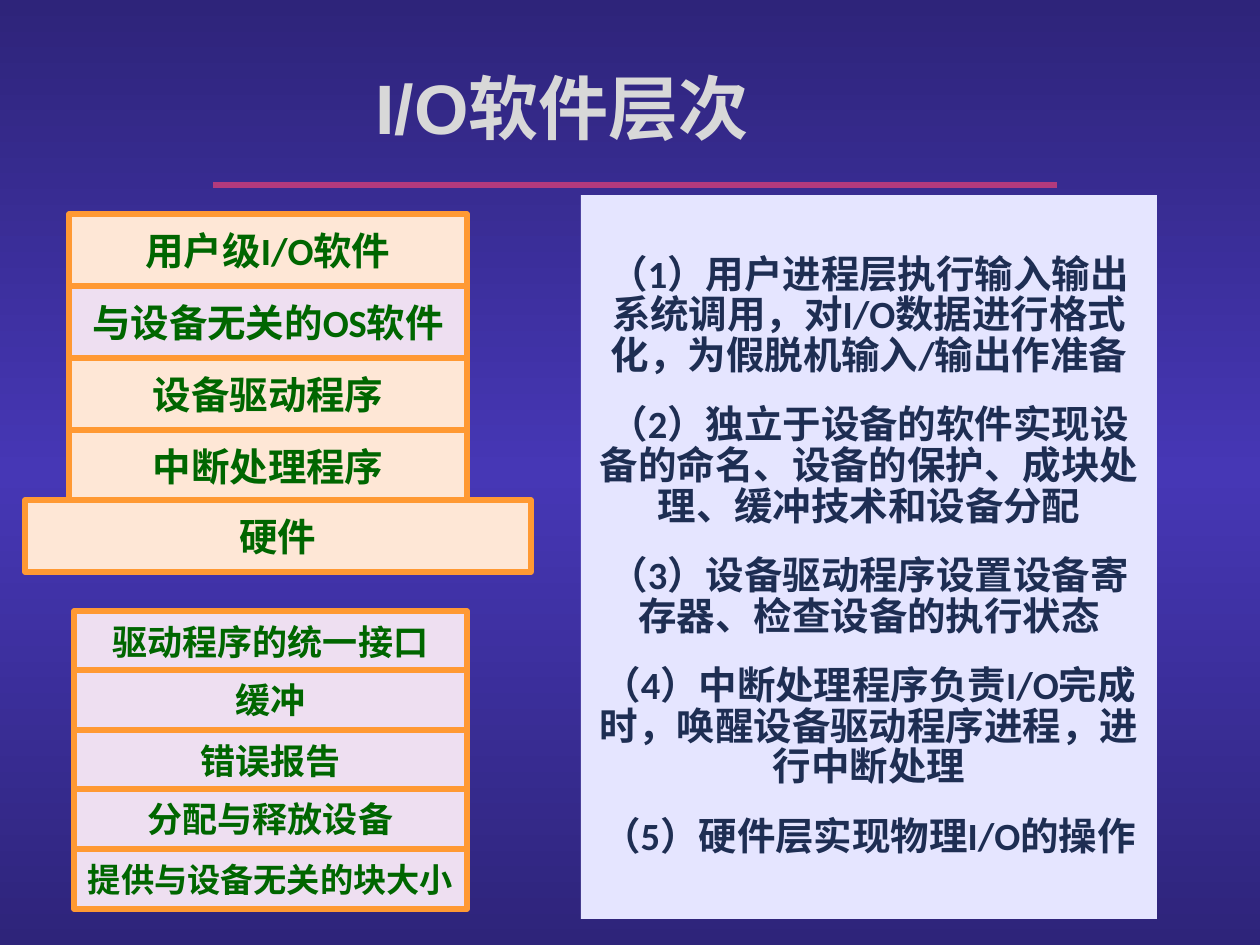
from copy import deepcopy
from lxml import etree
from pptx import Presentation
from pptx import util as u
from pptx.dml.color import RGBColor
from pptx.enum import shapes, text
from pptx.oxml.ns import qn

PX = 914400 / 126
COLORS = {
    "edge": "2E247A", "middle": "4637B5", "rule": "B23A7D", "title": "D8D8D8",
    "panel": "E5E5FF", "ink": "1E2E53", "peach": "FEE7D6", "lilac": "EEDFF1",
    "border": "FF9933", "label": "006600",
}


def rgb(name):
    return RGBColor.from_string(COLORS[name])


def add_box(parent, bounds, lines, size, color, fill=None, border=None,
            font="Calibri", anchor=text.MSO_ANCHOR.MIDDLE, spacing=None):
    box = parent.add_shape(shapes.MSO_SHAPE.RECTANGLE, *[round(v * PX) for v in bounds])
    box.shadow.inherit = False
    if fill:
        box.fill.solid()
        box.fill.fore_color.rgb = rgb(fill)
    else:
        box.fill.background()
    if border:
        box.line.color.rgb = rgb(border)
        box.line.width = u.Pt(3.15)
    else:
        box.line.fill.background()
    frame = box.text_frame
    frame.word_wrap = True
    frame.vertical_anchor = anchor
    for index, line in enumerate(lines):
        para = frame.paragraphs[0] if index == 0 else frame.add_paragraph()
        for key, value in {"alignment": text.PP_ALIGN.CENTER, **(spacing or {})}.items():
            setattr(para, key, value)
        span = para.add_run()
        span.text = line
        for key, value in {"name": font, "size": u.Pt(size), "bold": True}.items():
            setattr(span.font, key, value)
        span.font.color.rgb = rgb(color)
    return box


deck = Presentation()
deck.slide_width = round(1260 * PX)
deck.slide_height = round(945 * PX)
page = deck.slides.add_slide(deck.slide_layouts[6])

backdrop = page.background.fill
backdrop.gradient()
backdrop.gradient_angle = 270
for stop in backdrop.gradient_stops:
    stop.color.rgb = rgb("edge")
stop_list = next(page.element.iter(qn("a:gsLst")))
stop_list.insert(1, deepcopy(stop_list[0]))
for stop, color, position in zip(backdrop.gradient_stops, ("edge", "middle", "edge"), (0, 0.5, 1)):
    stop.color.rgb = rgb(color)
    stop.position = position

rule = page.shapes.add_connector(
    shapes.MSO_CONNECTOR.STRAIGHT, *[round(v * PX) for v in (213, 185, 1057, 185)])
rule.line.color.rgb = rgb("rule")
rule.line.width = u.Pt(3)
etree.SubElement(rule.element.spPr, qn("a:effectLst"))

add_box(page.shapes, (63, 44, 998, 111), ["I/O软件层次"], 40, "title",
        font="Arial", anchor=text.MSO_ANCHOR.BOTTOM)

duties = [
    "（1）用户进程层执行输入输出系统调用，对I/O数据进行格式化，为假脱机输入/输出作准备",
    "（2）独立于设备的软件实现设备的命名、设备的保护、成块处理、缓冲技术和设备分配",
    "（3）设备驱动程序设置设备寄存器、检查设备的执行状态",
    "（4）中断处理程序负责I/O完成时，唤醒设备驱动程序进程，进行中断处理",
    "（5）硬件层实现物理I/O的操作",
]
add_box(page.shapes, (581, 195, 576, 724), duties, 22, "ink", "panel",
        spacing={"line_spacing": 0.88, "space_after": u.Pt(16.5)})

layers = [
    ("用户级I/O软件", "peach"),
    ("与设备无关的OS软件", "lilac"),
    ("设备驱动程序", "peach"),
    ("中断处理程序", "peach"),
]
layer_stack = page.shapes.add_group_shape().shapes
for row, (label, fill) in enumerate(layers):
    add_box(layer_stack, (69, 214 + row * 72, 398, 72), [label], 22, "label", fill, "border")
add_box(layer_stack, (25, 500, 506, 72), ["硬件"], 22, "label", "peach", "border")

functions = [
    ("驱动程序的统一接口", 20),
    ("缓冲", 20),
    ("错误报告", 20),
    ("分配与释放设备", 20),
    ("提供与设备无关的块大小", 19),
]
function_stack = page.shapes.add_group_shape().shapes
for row, (label, size) in enumerate(functions):
    add_box(function_stack, (74, 611 + row * 119 // 2, 393, 60), [label], size,
            "label", "lilac", "border")

deck.save("out.pptx")
